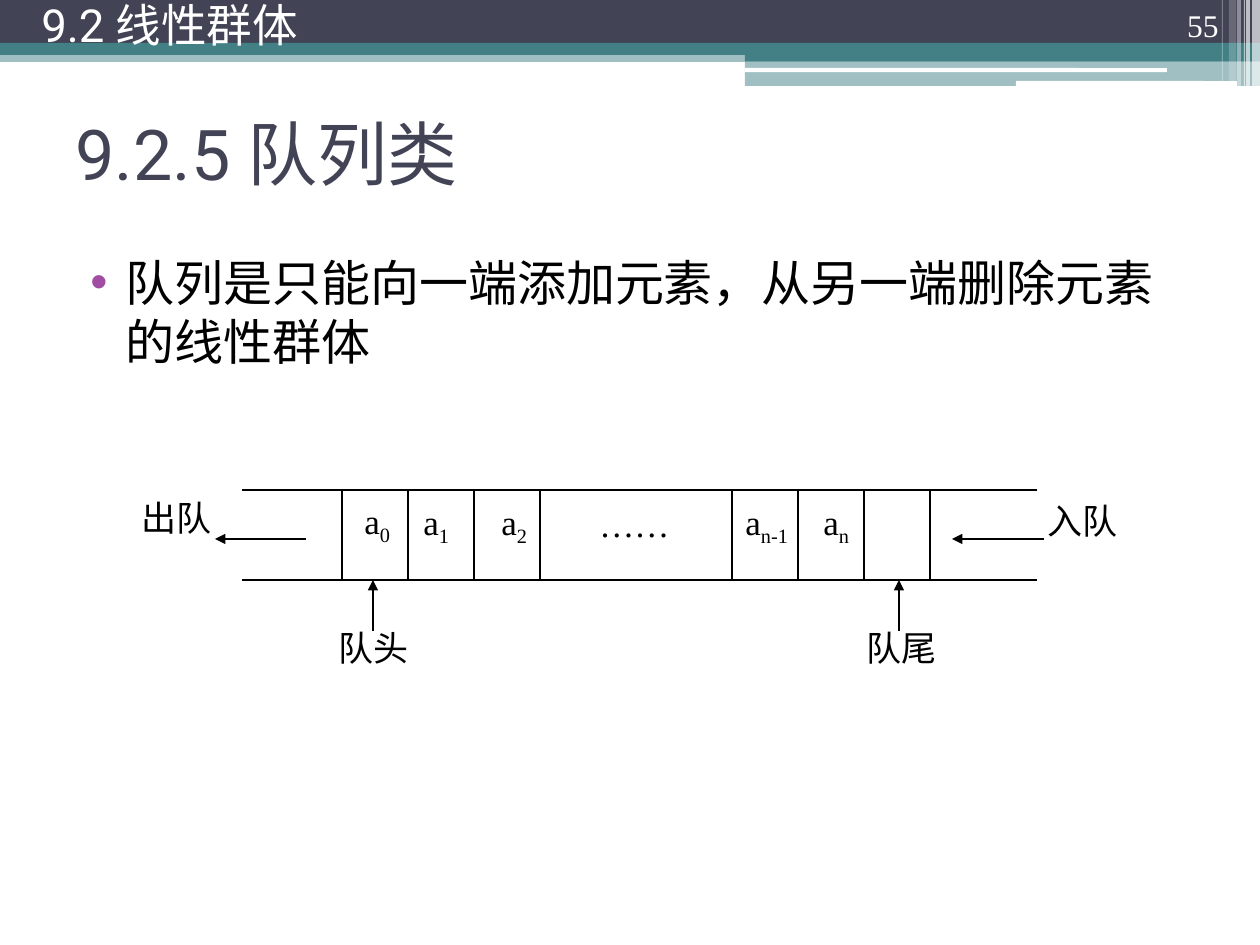
"""Build the slide that introduces the queue class."""
from lxml import etree
from pptx import Presentation
from pptx import util as u
from pptx.dml import color
from pptx.enum import shapes, text
from pptx.oxml import ns

SCALE = 914400 / 126
COLOURS = {"ink": "000000", "white": "FFFFFF", "navy": "424456",
           "teal": "438086", "bullet": "A04DA3"}
SERIF, SANS, CHINESE = "Times New Roman", "Roboto", "Noto Sans CJK SC"
LEFT, CENTRE, RIGHT = (text.PP_ALIGN.LEFT, text.PP_ALIGN.CENTER,
                       text.PP_ALIGN.RIGHT)
TOP, MIDDLE, BOTTOM = (text.MSO_ANCHOR.TOP, text.MSO_ANCHOR.MIDDLE,
                       text.MSO_ANCHOR.BOTTOM)
RECT, ROUND = shapes.MSO_SHAPE.RECTANGLE, shapes.MSO_SHAPE.ROUNDED_RECTANGLE

BANDS = [
    (RECT, (0, 50, 1260, 12), "teal", 50),
    (RECT, (0, 0, 1260, 43), "navy", 100),
    (RECT, (0, 43, 1260, 12), "teal", 100),
    (RECT, (745, 49, 515, 12), "teal", 100),
    (RECT, (745, 61, 515, 25), "teal", 50),
    (ROUND, (745, 68, 422, 4), "white", 100),
    (ROUND, (1016, 81, 221, 5), "white", 100),
]
STRIPES = [(1252, 8, 86, 65), (1246, 4, 86, 65), (1244, 1, 86, 60),
           (1237, 4, 86, 40), (1229, 7, 81, 20), (1222, 1, 81, 30)]
QUEUE_TOP, QUEUE_BOTTOM, CELL = 490, 580, 66
ITEMS = [("0", 352, 493), ("1", 411, 494), ("2", 489, 494),
         ("n-1", 733, 494), ("n", 811, 494)]
LABELS = [("……", 571, 496), ("队头", 310, 620), ("队尾", 838, 620),
          ("入队", 1019, 493), ("出队", 113, 490)]
ARROWS = [(373, 631, 373, 580), (899, 631, 899, 580),
          (306, 539, 215, 539), (1044, 539, 952, 539)]


def px(length):
    """Turn pixels into EMU."""
    return u.Emu(round(length * SCALE))


def rgb(name):
    """Look up a named colour."""
    return color.RGBColor.from_string(COLOURS[name])


def assign(target, values):
    """Set attributes from a dict."""
    for name, value in values.items():
        setattr(target, name, value)


def add_band(page, kind, frame, fill, opacity):
    """Add a flat shape with an optional transparency."""
    band = page.shapes.add_shape(kind, *map(px, frame))
    band.shadow.inherit = False
    band.fill.solid()
    band.fill.fore_color.rgb = rgb(fill)
    band.line.fill.background()
    if opacity < 100:
        tint = band.fill._xPr.find(".//" + ns.qn("a:srgbClr"))
        etree.SubElement(tint, ns.qn("a:alpha"), val=str(opacity * 1000))


def add_line(page, ends, arrow=False):
    """Add a thin line, with an arrowhead at its end if asked."""
    line = page.shapes.add_connector(shapes.MSO_CONNECTOR.STRAIGHT,
                                     *map(px, ends))
    line.line.width = u.Pt(0.75)
    line.line.color.rgb = rgb("ink")
    if arrow:
        etree.SubElement(line.line._get_or_add_ln(), ns.qn("a:tailEnd"),
                         type="triangle")
    etree.SubElement(line._element.spPr, ns.qn("a:effectLst"))


def add_span(para, words, size, font, colour, baseline=0):
    """Add a formatted run."""
    span = para.add_run()
    span.text = words
    assign(span.font, {"size": u.Pt(size), "name": font})
    span.font.color.rgb = rgb(colour)
    props = span.font._element
    etree.SubElement(props, ns.qn("a:ea"), typeface=CHINESE)
    if baseline:
        props.set("baseline", str(baseline * 1000))


def write(box, frame, words, size, font, colour, align=LEFT, anchor=TOP):
    """Place a box and write its paragraph."""
    assign(box, dict(zip(("left", "top", "width", "height"), map(px, frame))))
    assign(box.text_frame, {"word_wrap": True, "vertical_anchor": anchor,
                            "auto_size": text.MSO_AUTO_SIZE.NONE})
    para = box.text_frame.paragraphs[0]
    para.alignment = align
    add_span(para, words, size, font, colour)
    return para


def add_text(page, frame, *style):
    """Add a text box with one paragraph."""
    return write(page.shapes.add_textbox(0, 0, 0, 0), frame, *style)


def add_bullet(para):
    """Give a paragraph a hanging bullet and its spacing."""
    assign(para, {"space_before": u.Pt(3), "space_after": u.Pt(12)})
    props = para._p.get_or_add_pPr()
    props.set("marL", str(u.Inches(0.4)))
    props.set("indent", str(u.Inches(-0.28)))
    tint = etree.SubElement(props, ns.qn("a:buClr"))
    etree.SubElement(tint, ns.qn("a:srgbClr"), val=COLOURS["bullet"])
    etree.SubElement(props, ns.qn("a:buFont"), typeface="Arial")
    etree.SubElement(props, ns.qn("a:buChar"), char="•")


def add_header(page):
    """Draw the banner with its section name and page number."""
    for band in BANDS:
        add_band(page, *band)
    for left, width, height, opacity in STRIPES:
        add_band(page, RECT, (left, 0, width, height), "white", opacity)
    add_text(page, (1126, 0, 105, 50), "55", 18, SERIF, "white", RIGHT, BOTTOM)
    section = add_text(page, (29, 0, 1106, 59), "9.2 线性群体", 26, SANS,
                       "white", LEFT, MIDDLE)
    section.line_spacing = 0.8


def add_queue(page):
    """Draw the queue with its cells, labels and arrows."""
    for y in (QUEUE_TOP, QUEUE_BOTTOM):
        add_line(page, (242, y, 1037, y))
    for start in (342, 732):
        for step in range(4):
            x = start + step * CELL
            add_line(page, (x, QUEUE_TOP, x, QUEUE_BOTTOM))
    for index, left, top in ITEMS:
        para = add_text(page, (left, top, 80, 80), "a", 20, SERIF, "ink")
        add_span(para, index, 20, SERIF, "ink", -25)
    for words, left, top in LABELS:
        add_text(page, (left, top, 127, 81), words, 20, SERIF, "ink", CENTRE)
    for ends in ARROWS:
        add_line(page, ends, arrow=True)


def main():
    """Build and save the deck."""
    deck = Presentation()
    assign(deck, {"slide_width": px(1260), "slide_height": px(945)})
    page = deck.slides.add_slide(deck.slide_layouts[5])
    add_header(page)
    write(page.shapes.title, (63, 79, 1134, 147), "9.2.5 队列类", 40, SANS,
          "navy", LEFT, MIDDLE)
    body = add_text(page, (63, 246, 1134, 660),
                    "队列是只能向一端添加元素，从另一端删除元素的线性群体",
                    28, CHINESE, "ink")
    add_bullet(body)
    add_queue(page)
    deck.save("out.pptx")


main()
